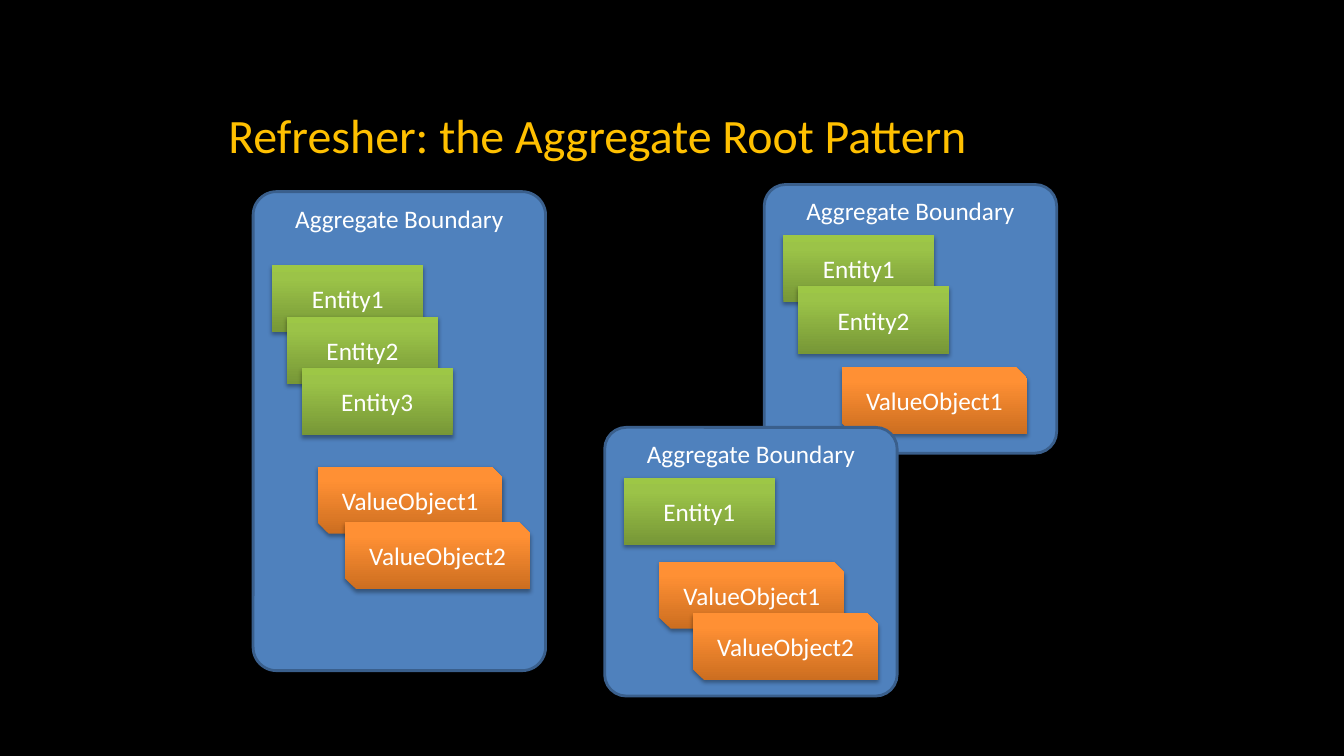
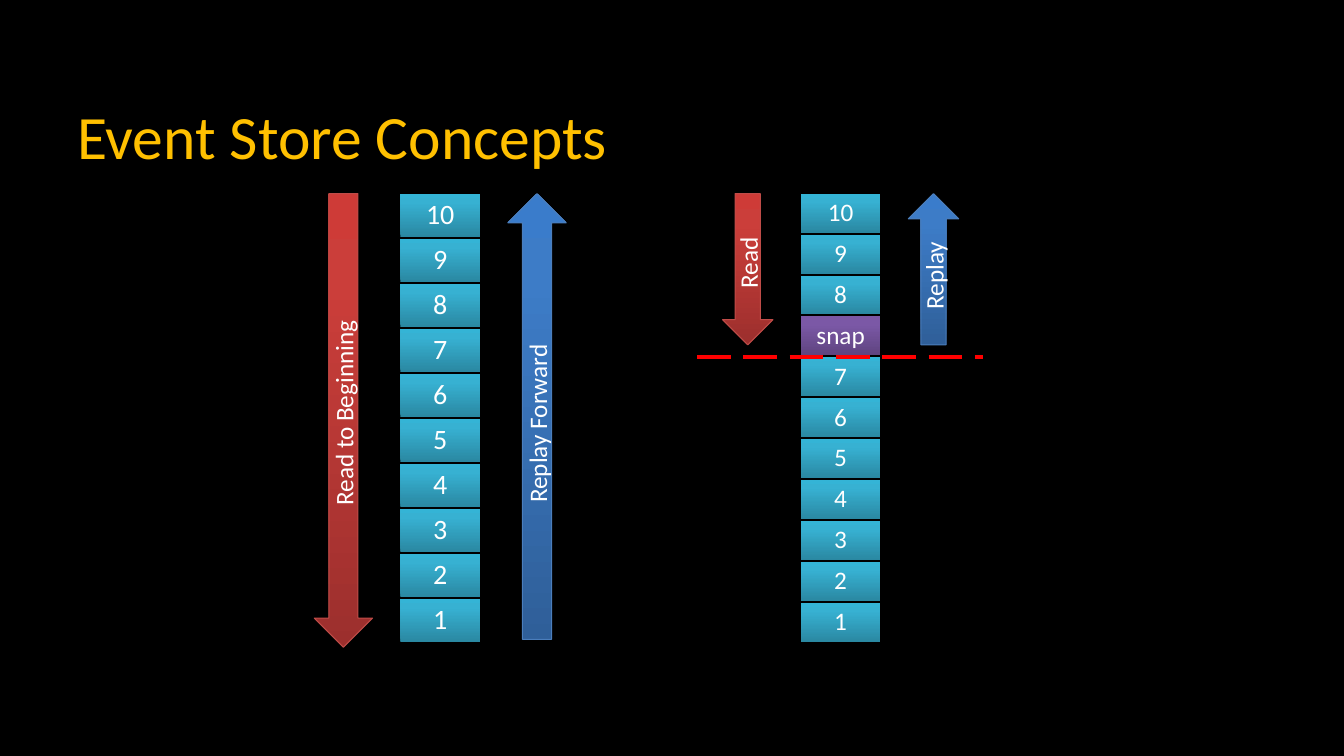
from lxml.etree import SubElement
from pptx import Presentation
from pptx.dml.color import RGBColor
from pptx.enum.dml import MSO_LINE as Dash
from pptx.enum.shapes import MSO_CONNECTOR as Link, MSO_SHAPE as Kind
from pptx.enum.text import MSO_ANCHOR as Anchor, MSO_AUTO_SIZE as Fit, PP_ALIGN as Align
from pptx.oxml.ns import qn
from pptx.util import Cm, Pt

FONT = "Calibri"
BLACK = RGBColor(0x00, 0x00, 0x00)
WHITE = RGBColor(0xFF, 0xFF, 0xFF)
GOLD = RGBColor(0xFF, 0xC0, 0x00)
BLUE = RGBColor(0x4F, 0x81, 0xBD)
NAVY = RGBColor(0x3A, 0x5F, 0x8C)
SKY = RGBColor(0x4B, 0x7E, 0xBC)
ROSE = RGBColor(0xBF, 0x4C, 0x48)
RED = RGBColor(0xFF, 0x00, 0x00)


def shades(*codes):
    return [RGBColor.from_string(code) for code in codes]


GREENS = shades("779737", "9BC348", "9DC746")
ORANGES = shades("CC6E20", "FF9034", "FF9136")
TEALS = shades("2A88A2", "37B1D2", "34B4D6")
PURPLES = shades("5F4480", "7B58A6", "7C57A8")
BLUES = shades("2F5F99", "3D7CC7", "3A7CCB")
REDS = shades("9C2F2D", "CB3E3A", "CE3B37")


def write(shape, text, size, color=WHITE, align=Align.CENTER, anchor=Anchor.MIDDLE):
    frame = shape.text_frame
    frame.word_wrap = True
    frame.vertical_anchor = anchor
    line = frame.paragraphs[0]
    line.alignment = align
    run = line.add_run()
    run.text = text
    run.font.name = FONT
    run.font.size = Pt(size)
    run.font.color.rgb = color
    return frame


def blend(shape, tones):
    shape.fill.gradient()
    shape.fill.gradient_angle = 90
    stops = shape.element.spPr.find(".//" + qn("a:gsLst"))
    for stop in list(stops):
        stops.remove(stop)
    for place, tone in zip((0, 80, 100), tones):
        stop = SubElement(stops, qn("a:gs"), pos=str(place * 1000))
        SubElement(stop, qn("a:srgbClr"), val=str(tone))


def shade(shape):
    shape.shadow.inherit = False
    effects = shape.element.spPr.find(qn("a:effectLst"))
    outer = SubElement(effects, qn("a:outerShdw"), blurRad=str(Pt(3.1)),
                       dist=str(Pt(1.8)), dir="5400000", rotWithShape="0")
    color = SubElement(outer, qn("a:srgbClr"), val=str(BLACK))
    SubElement(color, qn("a:alpha"), val="35000")


def block(shapes, kind, box, tones, edge=None):
    shape = shapes.add_shape(kind, *map(Cm, box))
    blend(shape, tones)
    shade(shape)
    if edge is None:
        shape.line.fill.background()
    else:
        shape.line.color.rgb = edge
        shape.line.width = Pt(0.75)
    return shape


def start(deck, text, size, box):
    slide = deck.slides.add_slide(deck.slide_layouts[5])
    title = slide.shapes.title
    title.left, title.top, title.width, title.height = map(Cm, box)
    write(title, text, size, GOLD, Align.LEFT).auto_size = Fit.NONE
    return slide


def cascade(shapes, kind, name, count, origin, step, width, tones):
    left, top = origin
    for item in range(count):
        box = (left + item * step[0], top + item * step[1], width, 1.69)
        write(block(shapes, kind, box, tones), f"{name}{item + 1}", 18)


def bound(slide, box, first, entities, second, step, values):
    left, top, width, height = box
    shapes = slide.shapes.add_group_shape().shapes
    frame = shapes.add_shape(Kind.ROUNDED_RECTANGLE, *map(Cm, box))
    frame.adjustments[0] = 0.08
    frame.shadow.inherit = False
    frame.fill.solid()
    frame.fill.fore_color.rgb = BLUE
    frame.line.color.rgb = NAVY
    frame.line.width = Pt(2)
    write(frame, "Aggregate Boundary", 18, anchor=Anchor.TOP)
    cascade(shapes, Kind.RECTANGLE, "Entity", entities,
            (left + first[0], top + first[1]), (0.37, 1.3), 3.81, GREENS)
    cascade(shapes, Kind.SNIP_2_DIAG_RECTANGLE, "ValueObject", values,
            (left + second[0], top + second[1]), step, 4.66, ORANGES)


def stack(slide, box, labels, size):
    left, top, width, height = box
    gap = 0.05
    pitch = (height + gap) / len(labels)
    shapes = slide.shapes.add_group_shape().shapes
    for row, label in enumerate(labels):
        tones = PURPLES if label == "snap" else TEALS
        cell = block(shapes, Kind.RECTANGLE,
                     (left, top + row * pitch, width, pitch - gap), tones)
        frame = write(cell, label, size)
        frame.paragraphs[0].line_spacing = 0.9
        frame.margin_left = frame.margin_right = Cm(0.13)
        frame.margin_top = frame.margin_bottom = Cm(0.13)


def arrow(slide, kind, box, tones, edge, text):
    shape = block(slide.shapes, kind, box, tones, edge)
    frame = write(shape, text, 18)
    shape.element.txBody.find(qn("a:bodyPr")).set("vert", "vert270")


def store(slide, left, labels, size, wide, down, up):
    top, gap, width, height = 4.88, 0.7, 2.01, 11.3
    middle = left + wide + gap
    stack(slide, (middle, top, width, height), labels, size)
    arrow(slide, Kind.UP_ARROW, (middle + width + gap, top, wide, up[1]),
          BLUES, SKY, up[0])
    arrow(slide, Kind.DOWN_ARROW, (left, top, wide, down[1]),
          REDS, ROSE, down[0])


def cutoff(slide, left, right, top):
    line = slide.shapes.add_connector(Link.STRAIGHT, Cm(left), Cm(top), Cm(right), Cm(top))
    line.line.color.rgb = RED
    line.line.width = Pt(3)
    line.line.dash_style = Dash.LONG_DASH
    SubElement(line.element.spPr, qn("a:effectLst"))


def roots(deck):
    slide = start(deck, "Refresher: the Aggregate Root Pattern", 34.2,
                  (5.5, 2.12, 20.53, 2.54))
    bound(slide, (6.38, 4.83, 7.37, 12.07), (0.48, 1.85), 3, (1.63, 6.93), (0.69, 1.4), 2)
    bound(slide, (19.26, 4.65, 7.37, 6.77), (0.48, 1.27), 2, (1.96, 4.6), (0, 0), 1)
    bound(slide, (15.24, 10.77, 7.37, 6.77), (0.48, 1.27), 1, (1.38, 3.38), (0.85, 1.3), 2)


def events(deck):
    slide = start(deck, "Event Store Concepts", 44, (1.69, 2.12, 30.48, 2.54))
    labels = [str(number) for number in range(10, 0, -1)]
    store(slide, 7.92, labels, 20, 1.47,
          ("Read to Beginning", 11.43), ("Replay Forward", 11.23))
    store(slide, 18.21, labels[:3] + ["snap"] + labels[3:], 18, 1.27,
          ("Read", 3.81), ("Replay", 3.81))
    cutoff(slide, 17.57, 24.77, 9)


def main():
    deck = Presentation()
    deck.slide_width, deck.slide_height = Cm(33.87), Cm(19.05)
    ground = deck.slide_master.background.fill
    ground.solid()
    ground.fore_color.rgb = BLACK
    roots(deck)
    events(deck)
    deck.save("out.pptx")


if __name__ == "__main__":
    main()
